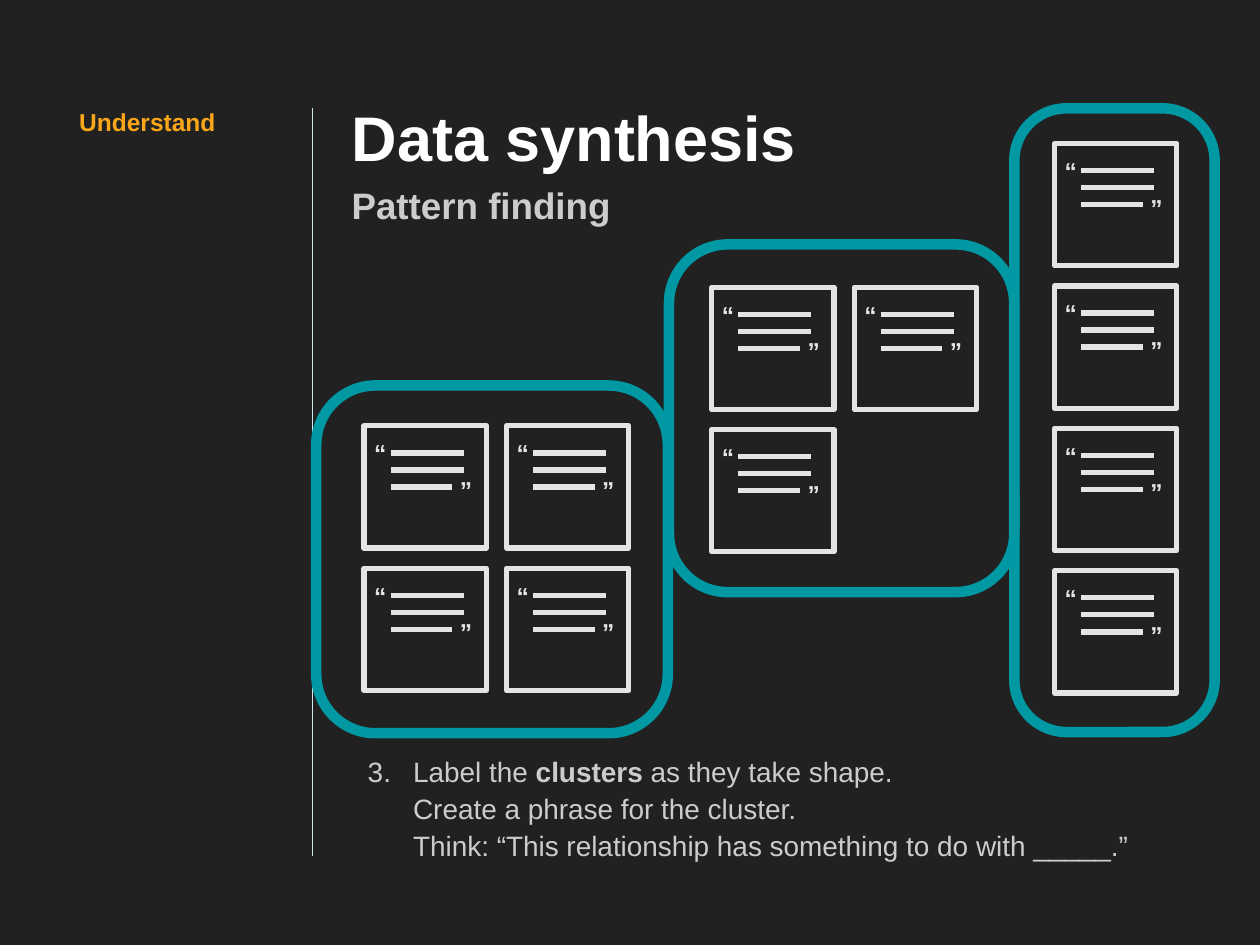
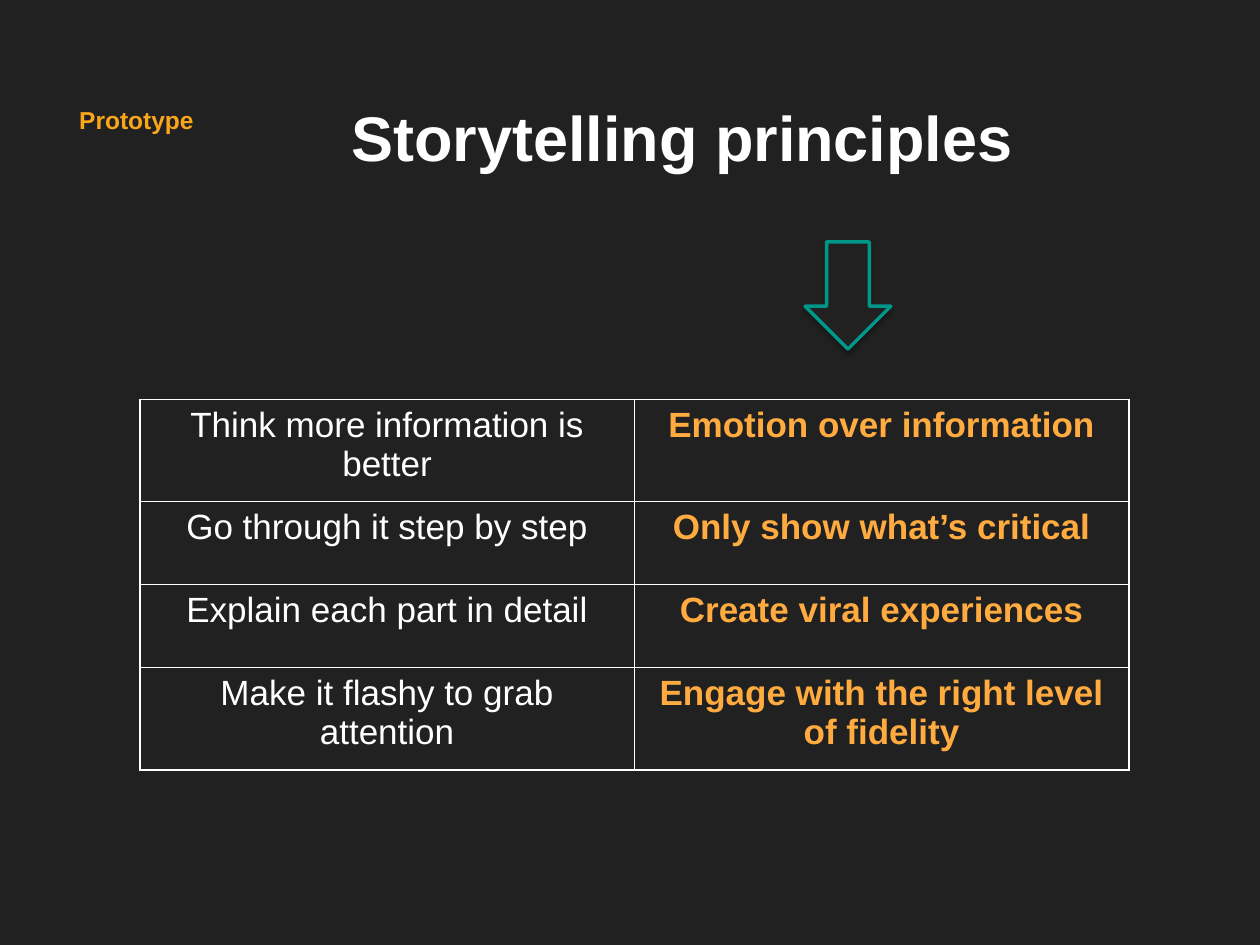
from lxml import etree
from pptx import Presentation
from pptx.dml.color import RGBColor
from pptx.enum.shapes import MSO_CONNECTOR, MSO_SHAPE
from pptx.enum.text import MSO_ANCHOR, MSO_AUTO_SIZE, PP_ALIGN
from pptx.oxml.ns import qn
from pptx.util import Inches, Pt

STRAIGHT = MSO_CONNECTOR.STRAIGHT
RECT, ROUND_RECT = MSO_SHAPE.RECTANGLE, MSO_SHAPE.ROUNDED_RECTANGLE
DOWN_ARROW = MSO_SHAPE.DOWN_ARROW
TOP, MIDDLE, BOTTOM = MSO_ANCHOR.TOP, MSO_ANCHOR.MIDDLE, MSO_ANCHOR.BOTTOM
LEFT, CENTER = PP_ALIGN.LEFT, PP_ALIGN.CENTER

BACKGROUND = RGBColor(0x21, 0x21, 0x21)
WHITE = RGBColor(0xFF, 0xFF, 0xFF)
GREY = RGBColor(0xCC, 0xCC, 0xCC)
CARD_GREY = RGBColor(0xE4, 0xE4, 0xE4)
PHASE_ORANGE = RGBColor(0xFA, 0xA6, 0x1A)
PRINCIPLE_ORANGE = RGBColor(0xFF, 0xAB, 0x40)
CLUSTER_TEAL = RGBColor(0x00, 0x98, 0xA2)
ARROW_TEAL = RGBColor(0x00, 0x96, 0x88)
RULE_BLUE = RGBColor(0xCC, 0xEA, 0xEC)
FONT = "Arial"

# Content: each step line is a list of (text, bold)
STEP_NUMBER = 3
STEP_LINES = [
    [("Label the ", False), ("clusters", True), (" as they take shape.", False)],
    [("Create a phrase for the cluster.", False)],
    [("Think: “This relationship has something to do with _____.”", False)],
]
# Outline box, corner radius share, first card, cards in each row
CLUSTERS = [
    ((8.05, 0.86, 1.59, 4.95), 0.26, (8.37, 1.14), (1, 1, 1, 1)),
    ((2.51, 3.06, 2.79, 2.76), 0.17, (2.89, 3.38), (2, 2)),
    ((5.31, 1.94, 2.74, 2.76), 0.17, (5.65, 2.28), (2, 1)),
]
PRINCIPLES = [
    ("Think more information is better", "Emotion over information"),
    ("Go through it step by step", "Only show what’s critical"),
    ("Explain each part in detail", "Create viral experiences"),
    ("Make it flashy to grab attention", "Engage with the right level of fidelity"),
]

# Card geometry, relative to the top left corner of a card
CARD_SIZE, CARD_PITCH = 0.97, 1.13
QUOTE_MARKS = [("“", 0.02, 0.05), ("”", 0.7, 0.34)]
QUOTE_LEFT, QUOTE_TOP, QUOTE_PITCH = 0.21, 0.215, 0.135
QUOTE_LENGTHS = (0.58, 0.58, 0.49)

TABLE_BOX = (1.11, 3.17, 7.85, 2.94)
ROW_HEIGHTS = (0.81, 0.66, 0.66, 0.81)


def inches(*lengths):
    return [Inches(length) for length in lengths]


def set_font(target, size, color, bold=False):
    font = target.font
    font.name, font.size, font.bold = FONT, Pt(size), bold
    font.color.rgb = color


def set_frame(frame, inset, anchor=TOP, auto_size=MSO_AUTO_SIZE.NONE):
    frame.word_wrap = True
    frame.auto_size = auto_size
    frame.vertical_anchor = anchor
    frame.margin_left = frame.margin_right = Inches(inset)
    frame.margin_top = frame.margin_bottom = Inches(inset)


def add_text(shapes, box, text, size, color, inset, anchor=TOP):
    frame = shapes.add_textbox(*inches(*box)).text_frame
    set_frame(frame, inset, anchor, MSO_AUTO_SIZE.SHAPE_TO_FIT_TEXT)
    frame.text = text
    set_font(frame.paragraphs[0].runs[0], size, color, bold=True)


def add_line(shapes, start, end, color, width):
    line = shapes.add_connector(STRAIGHT, *inches(*start, *end))
    line.line.color.rgb = color
    line.line.width = Pt(width)
    etree.SubElement(line._element.spPr, qn("a:effectLst"))


def add_outline(shapes, kind, box, color, width):
    outline = shapes.add_shape(kind, *inches(*box))
    outline.fill.background()
    outline.line.color.rgb = color
    outline.line.width = Pt(width)
    outline.shadow.inherit = False
    return outline


def start_slide(prs, phase, phase_top, title_box, title_lines):
    """Add a slide with background, phase label and title; lines are (text, size, color)."""
    slide = prs.slides.add_slide(prs.slide_layouts[5])
    slide.background.fill.solid()
    slide.background.fill.fore_color.rgb = BACKGROUND
    title = slide.shapes.title
    title.left, title.top, title.width, title.height = inches(*title_box)
    set_frame(title.text_frame, 0.1)
    title.text_frame.text = "\n".join(text for text, _, _ in title_lines)
    for paragraph, (_, size, color) in zip(title.text_frame.paragraphs, title_lines):
        paragraph.alignment = LEFT
        paragraph.space_before = Pt(0)
        set_font(paragraph.runs[0], size, color, bold=True)
    add_text(slide.shapes, (0.53, phase_top, 1.79, 0.44), phase, 14, PHASE_ORANGE, 0.1)
    return slide


def add_step(slide):
    frame = slide.shapes.add_textbox(*inches(2.68, 4.1, 7.31, 2.84)).text_frame
    set_frame(frame, 0.1, BOTTOM)
    step = frame.paragraphs[0]
    step.line_spacing = 1.1
    properties = step._p.get_or_add_pPr()
    properties.set("marL", str(Inches(0.5)))
    properties.set("indent", str(Inches(-0.36)))
    bullet_color = etree.SubElement(properties, qn("a:buClr"))
    etree.SubElement(bullet_color, qn("a:srgbClr"), val=str(GREY))
    etree.SubElement(properties, qn("a:buAutoNum"),
                     type="arabicPeriod", startAt=str(STEP_NUMBER))
    for index, line in enumerate(STEP_LINES):
        if index:
            step.add_line_break()
        for text, bold in line:
            run = step.add_run()
            run.text = text
            set_font(run, 16, GREY, bold)


def add_quote_card(shapes, left, top):
    add_outline(shapes, RECT, (left, top, CARD_SIZE, CARD_SIZE), CARD_GREY, 3)
    for mark, dx, dy in QUOTE_MARKS:
        add_text(shapes, (left + dx, top + dy, 0.2, 0.33), mark, 14, CARD_GREY, 0.06, MIDDLE)
    start = left + QUOTE_LEFT
    for index, length in enumerate(QUOTE_LENGTHS):
        y = top + QUOTE_TOP + index * QUOTE_PITCH
        add_line(shapes, (start, y), (start + length, y), CARD_GREY, 3)


def add_cluster(slide, box, corner, first_card, row_counts):
    outline = add_outline(slide.shapes, ROUND_RECT, box, CLUSTER_TEAL, 6)
    outline.adjustments[0] = corner
    cards = slide.shapes.add_group_shape().shapes
    left, top = first_card
    for row, count in enumerate(row_counts):
        for column in range(count):
            add_quote_card(cards, left + column * CARD_PITCH, top + row * CARD_PITCH)


def format_cell(cell, text, color, bold):
    cell.text = text
    paragraph = cell.text_frame.paragraphs[0]
    paragraph.alignment = CENTER
    set_font(paragraph.runs[0], 20, color, bold)
    properties = cell._tc.get_or_add_tcPr()
    for side in ("lnL", "lnR", "lnT", "lnB"):
        border = etree.SubElement(properties, qn(f"a:{side}"), w=str(Pt(1)))
        fill = etree.SubElement(border, qn("a:solidFill"))
        etree.SubElement(fill, qn("a:srgbClr"), val=str(WHITE))
    cell.fill.background()


def add_principles(slide):
    table = slide.shapes.add_table(len(PRINCIPLES), 2, *inches(*TABLE_BOX)).table
    table.first_row = table.horz_banding = False
    for row, height in zip(table.rows, ROW_HEIGHTS):
        row.height = Inches(height)
    for row, (habit, principle) in enumerate(PRINCIPLES):
        format_cell(table.cell(row, 0), habit, WHITE, False)
        format_cell(table.cell(row, 1), principle, PRINCIPLE_ORANGE, True)


def add_arrow(slide):
    arrow = add_outline(slide.shapes, DOWN_ARROW, (6.39, 1.92, 0.68, 0.85), ARROW_TEAL, 2)
    arrow.fill.solid()
    arrow.fill.fore_color.rgb = BACKGROUND
    effects = arrow._element.spPr.find(qn("a:effectLst"))
    shadow = etree.SubElement(effects, qn("a:outerShdw"), blurRad=str(Pt(3)),
                              dist=str(Pt(1.8)), dir="5400000", rotWithShape="0")
    shadow_color = etree.SubElement(shadow, qn("a:srgbClr"), val="000000")
    etree.SubElement(shadow_color, qn("a:alpha"), val="35000")


def main():
    prs = Presentation()
    prs.slide_width, prs.slide_height = inches(10, 7.5)

    synthesis = start_slide(prs, "Understand", 0.75, (2.69, 0.68, 6.91, 2.16),
                            [("Data synthesis", 36, WHITE), ("Pattern finding", 21, GREY)])
    synthesis.shapes.title.text_frame.paragraphs[1].line_spacing = 1.2
    add_line(synthesis.shapes, (2.48, 0.86), (2.48, 6.79), RULE_BLUE, 0.75)
    add_step(synthesis)
    for cluster in CLUSTERS:
        add_cluster(synthesis, *cluster)

    storytelling = start_slide(prs, "Prototype", 0.73, (2.69, 0.68, 6.52, 0.84),
                               [("Storytelling principles", 36, WHITE)])
    add_principles(storytelling)
    add_arrow(storytelling)

    prs.save("out.pptx")


if __name__ == "__main__":
    main()
